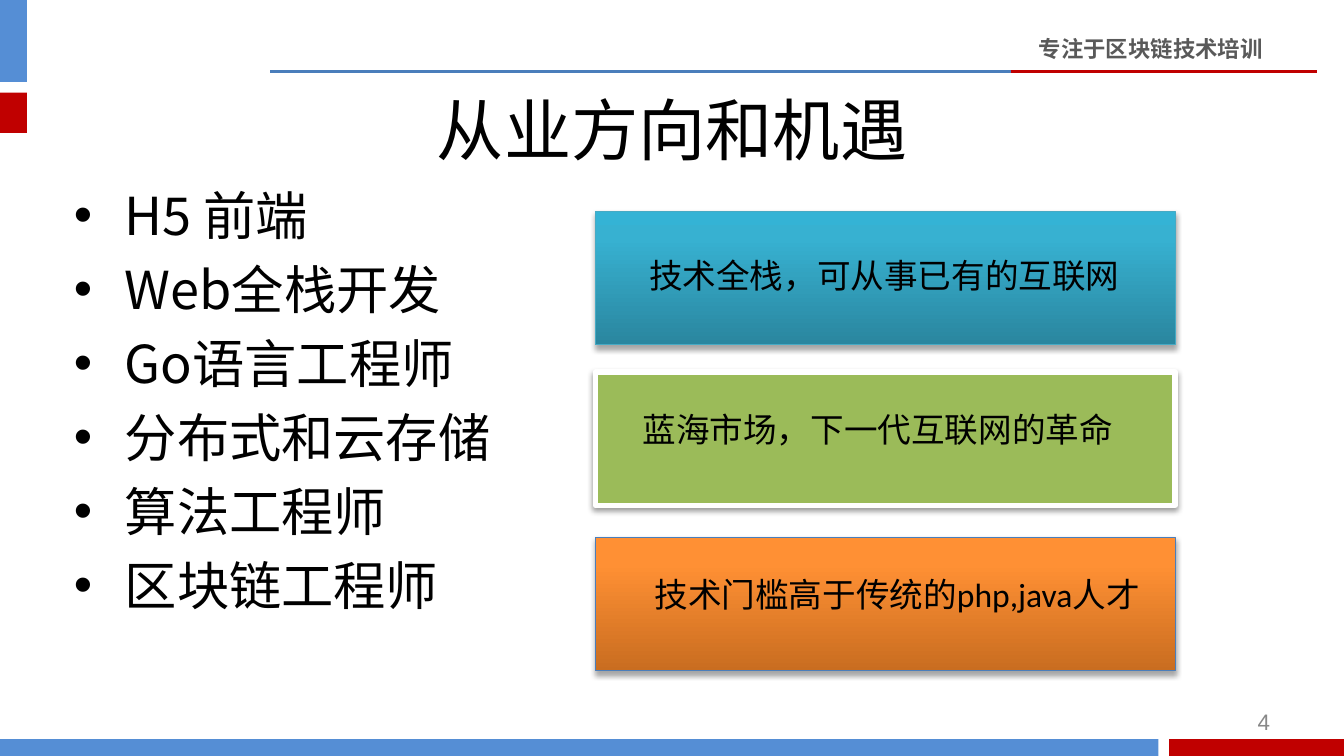
from lxml.etree import SubElement
from pptx import Presentation
from pptx.dml.color import RGBColor
from pptx.enum.shapes import MSO_CONNECTOR, MSO_SHAPE
from pptx.enum.text import MSO_ANCHOR, PP_ALIGN
from pptx.oxml.ns import qn
from pptx.util import Inches, Pt

COLUMNS, ROWS = 100, 56.25
CELL = 0.1
BLUE, RED = "558ED5", "C00000"
CJK = "Noto Sans CJK SC"


def color(value):
    return RGBColor.from_string(value)


def cells(*lengths):
    return [Inches(length * CELL) for length in lengths]


class Deck:
    def __init__(self):
        self.presentation = Presentation()
        self.presentation.slide_width, self.presentation.slide_height = cells(COLUMNS, ROWS)

    def add_slide(self):
        layout = self.presentation.slide_layouts[5]
        self.slide = self.presentation.slides.add_slide(layout)

    def format(self, frame, size, font="Calibri", ink="000000", bold=False,
               align=PP_ALIGN.LEFT, anchor=MSO_ANCHOR.TOP, inset=0.5, wrap=True):
        frame.word_wrap = wrap
        frame.vertical_anchor = anchor
        frame.margin_left = frame.margin_right = frame.margin_top = frame.margin_bottom = cells(inset)[0]
        for paragraph in frame.paragraphs:
            paragraph.alignment = align
            for run in paragraph.runs:
                run.font.size, run.font.name, run.font.bold = Pt(size), font, bold
                run.font.color.rgb = color(ink)
                SubElement(run.font._element, qn("a:ea"), typeface=CJK)

    def title(self, words, place):
        heading = self.slide.shapes.title
        heading.left, heading.top, heading.width, heading.height = cells(*place)
        heading.text_frame.text = words
        self.format(heading.text_frame, 36, CJK, align=PP_ALIGN.CENTER, anchor=MSO_ANCHOR.MIDDLE)

    def text(self, words, place, size, **style):
        frame = self.slide.shapes.add_textbox(*cells(*place)).text_frame
        frame.text = words
        self.format(frame, size, **style)
        return frame

    def bullets(self, items, place):
        frame = self.text("\n".join(items), place, 28, font=CJK)
        for index, paragraph in enumerate(frame.paragraphs):
            paragraph.line_spacing = Pt(34)
            paragraph.space_before = Pt(5.6 if index else 0)
            properties = paragraph._p.get_or_add_pPr()
            indent = Inches(0.38)
            properties.set("marL", str(indent))
            properties.set("indent", str(-indent))
            SubElement(properties, qn("a:buFont"), typeface="Arial")
            SubElement(properties, qn("a:buChar"), char="•")

    def bar(self, place, fill):
        block = self.slide.shapes.add_shape(MSO_SHAPE.RECTANGLE, *cells(*place))
        block.shadow.inherit = False
        block.fill.solid()
        block.fill.fore_color.rgb = color(fill)
        block.line.fill.background()
        return block

    def card(self, place, fill, border, width, shadow):
        block = self.bar(place, fill[0])
        block.line.color.rgb = color(border)
        block.line.width = Pt(width)
        if len(fill) > 1:
            self.gradient(block, fill)
        alpha, distance = shadow
        effects = block._element.spPr.find(qn("a:effectLst"))
        outer = SubElement(effects, qn("a:outerShdw"), blurRad=str(Pt(3)),
                           dist=str(Pt(distance)), dir="5400000", rotWithShape="0")
        shade = SubElement(outer, qn("a:srgbClr"), val="000000")
        SubElement(shade, qn("a:alpha"), val=str(alpha * 1000))

    def gradient(self, block, fills):
        block.fill.gradient()
        block.fill.gradient_angle = 90
        stops = block._element.spPr.find(".//" + qn("a:gsLst"))
        for stop in list(stops):
            stops.remove(stop)
        for position, fill in zip((0, 80, 100), fills):
            stop = SubElement(stops, qn("a:gs"), pos=str(position * 1000))
            SubElement(stop, qn("a:srgbClr"), val=fill)

    def rule(self, start, end, row, ink):
        line = self.slide.shapes.add_connector(MSO_CONNECTOR.STRAIGHT, *cells(start, row, end, row))
        line.line.color.rgb = color(ink)
        line.line.width = Pt(1.5)
        SubElement(line._element.spPr, qn("a:effectLst"))

    def save(self):
        self.presentation.save("out.pptx")


def main():
    deck = Deck()
    deck.add_slide()

    for place, fill in (
        ((0, 0, 2, 6.1), BLUE),
        ((0, 6.9, 2, 3), RED),
        ((0, 55, 86.2, 1.5), BLUE),
        ((87, 55, 13, 1.5), RED),
    ):
        deck.bar(place, fill)
    deck.rule(20.1, 75.2, 5.3, "4A7EBB")
    deck.rule(75.2, 98, 5.3, RED)
    deck.text("专注于区块链技术培训", (76.8, 2.1, 24.4, 3.4), 12, ink="595959", bold=True)

    deck.title("从业方向和机遇", (5, 6.1, 90, 7))
    directions = ["H5 前端", "Web全栈开发", "Go语言工程师",
                  "分布式和云存储", "算法工程师", "区块链工程师"]
    deck.bullets(directions, (5, 13.1, 90, 43.1))
    deck.text("4", (71.7, 52.2, 23.3, 2.9), 12, font="Arial", ink="888888",
              align=PP_ALIGN.RIGHT, anchor=MSO_ANCHOR.MIDDLE)

    opportunities = (
        ("技术全栈，可从事已有的互联网", 15.75, 47.8, 36.1, 0.5,
         ("2A869F", "37B1D1", "34B3D5"), "46AAC4", 0.75, (35, 1.8)),
        ("蓝海市场，下一代互联网的革命", 27.7, 47.8, 36.1, 0,
         ("9BBB59",), "FFFFFF", 3, (38, 1.6)),
        ("技术门槛高于传统的php,java人才", 40, 48.7, 38.5, 0,
         ("C96D20", "FF9034", "FF9035"), "4A7EBB", 0.75, (35, 1.8)),
    )
    for words, top, left, width, inset, fill, border, weight, shadow in opportunities:
        deck.card((44.3, top, 43.15, 9.9), fill, border, weight, shadow)
        deck.text(words, (left, top + 2.7, width, 4.5), 18, inset=inset, wrap=False)

    deck.save()


if __name__ == "__main__":
    main()
